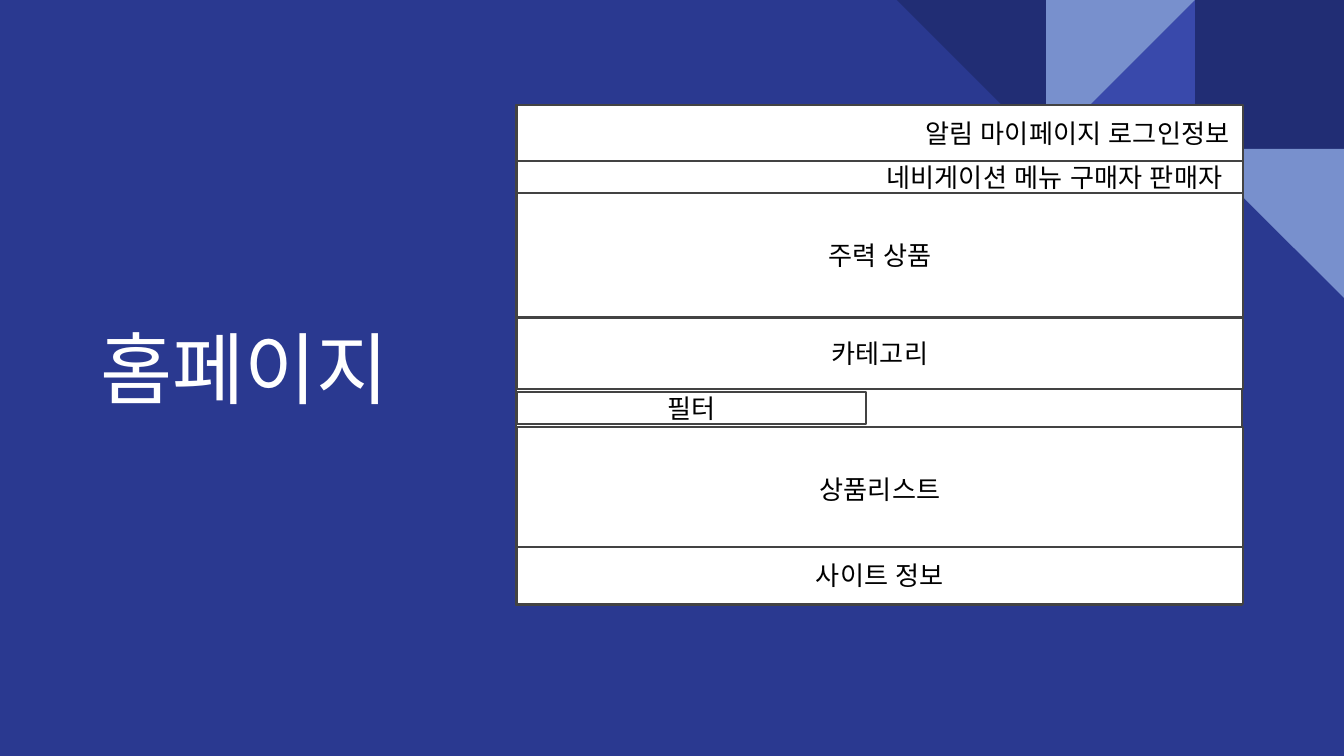
from lxml import etree
from pptx import Presentation
from pptx import util as u
from pptx.dml.color import RGBColor
from pptx.enum import shapes, text
from pptx.oxml.ns import qn

THEME = {
    "back": "2A3990", "navy": "212D74", "blue": "3949AB", "pale": "7890CD",
    "paper": "FFFFFF", "edge": "434343", "ink": "000000",
    "head": ("Roboto", 42), "body": ("Arial", 14), "line": 0.75,
}
PX = 914400 / 134.4
WIDE, HIGH, TILE, PAD = 1344, 756, 149, 13
LEFT, FULL, HALF = 517, 726, 349

TITLE = "홈페이지"
TILES = [
    (1, 0, None, "navy"),
    (2, 0, 270, "blue"),
    (2, 0, 90, "pale"),
    (3, 0, 180, "navy"),
    (1, 1, 180, "pale"),
]
ROWS = [
    ("알림 마이페이지 로그인정보", 105, 56, FULL, "RIGHT"),
    ("네비게이션 메뉴 구매자 판매자 ", 161, 32, FULL, "RIGHT"),
    ("주력 상품", 193, 124, FULL, "CENTER"),
    ("카테고리", 318, 71, FULL, "CENTER"),
    ("필터", 392, 32, HALF, "CENTER"),
    ("상품리스트", 427, 124, FULL, "CENTER"),
    ("사이트 정보", 547, 57, FULL, "CENTER"),
]


def px(n):
    return u.Emu(round(n * PX))


def rgb(name):
    return RGBColor.from_string(THEME[name])


def block(slide, kind, box, fill, edge=None):
    item = slide.shapes.add_shape(kind, *map(px, box))
    item.shadow.inherit = False
    item.fill.solid()
    item.fill.fore_color.rgb = rgb(fill)
    if edge:
        item.line.color.rgb = rgb(edge)
        item.line.width = u.Pt(THEME["line"])
    else:
        item.line.fill.background()
    return item


def write(item, words, align, style, color):
    frame = item.text_frame
    frame.word_wrap = True
    frame.auto_size = text.MSO_AUTO_SIZE.NONE
    frame.vertical_anchor = text.MSO_ANCHOR.MIDDLE
    frame.margin_left = frame.margin_right = px(PAD)
    frame.margin_top = frame.margin_bottom = px(PAD)
    para = frame.paragraphs[0]
    para.alignment = text.PP_ALIGN[align]
    run = para.add_run()
    run.text = words
    name, size = THEME[style]
    run.font.size = u.Pt(size)
    run.font.color.rgb = rgb(color)
    run.font.name = name
    etree.SubElement(run.font._element, qn("a:ea"), typeface=name)


def main():
    deck = Presentation()
    deck.slide_width, deck.slide_height = px(WIDE), px(HIGH)
    slide = deck.slides.add_slide(deck.slide_layouts[5])
    slide.background.fill.solid()
    slide.background.fill.fore_color.rgb = rgb("back")

    title = slide.shapes.title
    title.left, title.top, title.width, title.height = map(px, (87, 199, 394, 336))
    write(title, TITLE, "LEFT", "head", "paper")

    kinds = shapes.MSO_SHAPE
    for col, row, turn, fill in TILES:
        kind = kinds.RECTANGLE if turn is None else kinds.RIGHT_TRIANGLE
        box = (WIDE - col * TILE, row * TILE, TILE, TILE)
        block(slide, kind, box, fill).rotation = turn or 0

    block(slide, kinds.RECTANGLE, (LEFT - 1, 105, FULL, 500), "paper", "edge")
    for words, top, high, wide, align in ROWS:
        box = (LEFT, top, wide, high)
        item = block(slide, kinds.RECTANGLE, box, "paper", "edge")
        write(item, words, align, "body", "ink")

    deck.save("out.pptx")


if __name__ == "__main__":
    main()
